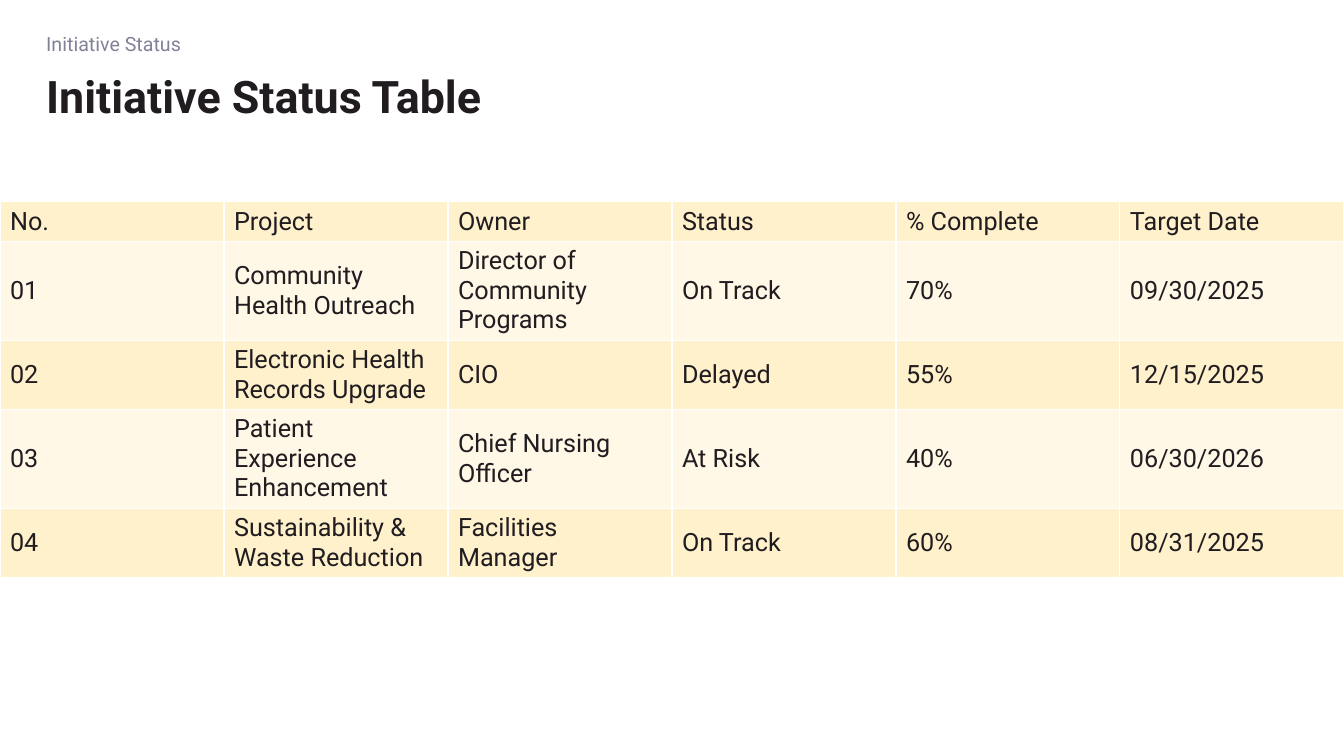
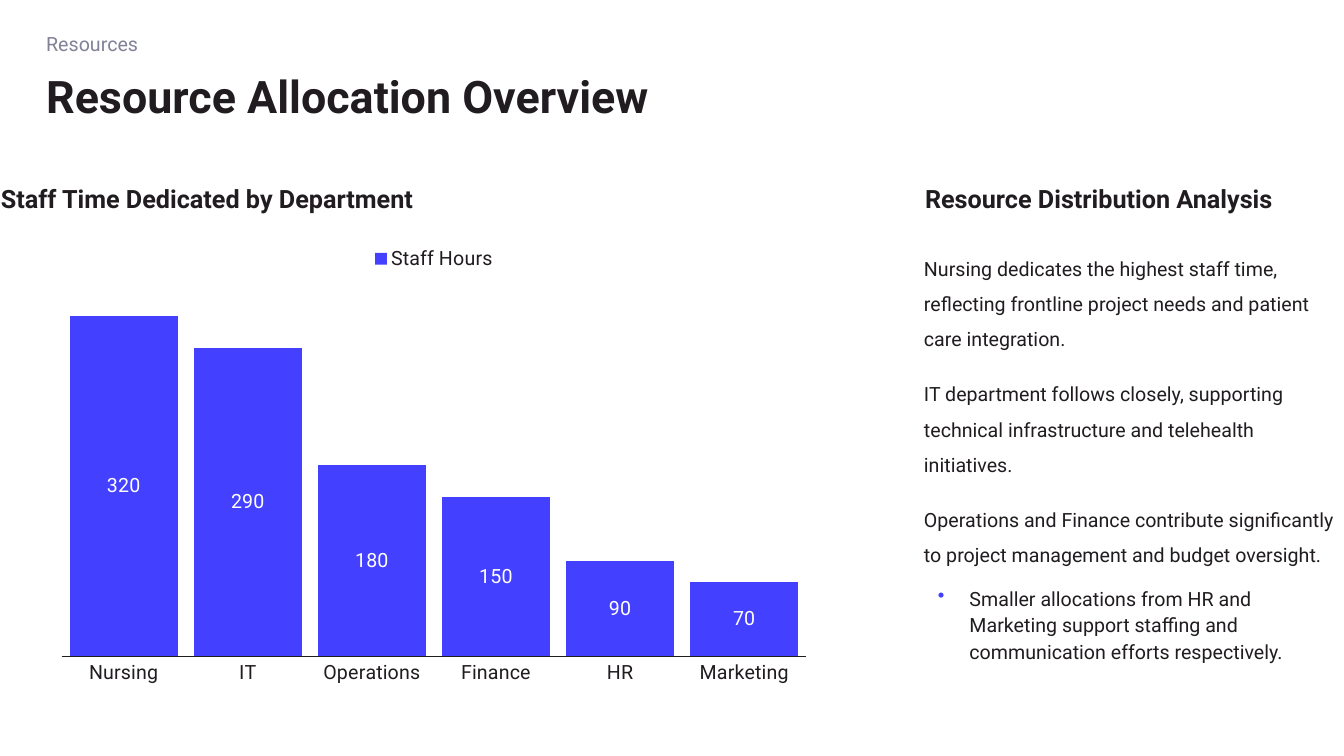
from lxml import etree
from pptx import Presentation
from pptx import util as u
from pptx.chart import data as chart_data
from pptx.dml.color import RGBColor
from pptx.enum import chart as ch, text
from pptx.oxml import ns

Pt = u.Pt
FONT = "Roboto"
INK = RGBColor(0x20, 0x1C, 0x20)
MUTED = RGBColor(0x81, 0x81, 0x98)
ACCENT = RGBColor(0x43, 0x40, 0xFF)
WHITE = RGBColor(0xFF, 0xFF, 0xFF)
BAND_FILLS = (RGBColor(0xFF, 0xF1, 0xCC), RGBColor(0xFF, 0xF8, 0xE7))

SLIDE_WIDTH, SLIDE_HEIGHT = 960, 540
MARGIN = 33
ANALYSIS_LEFT, ANALYSIS_WIDTH = 660, 300
CHART_WIDTH = 554

STATUS_ROWS = [
    ("No.", "Project", "Owner", "Status", "% Complete", "Target Date"),
    ("01", "Community Health Outreach", "Director of Community Programs",
     "On Track", "70%", "09/30/2025"),
    ("02", "Electronic Health Records Upgrade", "CIO",
     "Delayed", "55%", "12/15/2025"),
    ("03", "Patient Experience Enhancement", "Chief Nursing Officer",
     "At Risk", "40%", "06/30/2026"),
    ("04", "Sustainability & Waste Reduction", "Facilities Manager",
     "On Track", "60%", "08/31/2025"),
]
STAFF_HOURS = {"Nursing": 320, "IT": 290, "Operations": 180,
               "Finance": 150, "HR": 90, "Marketing": 70}
FINDINGS = [
    "Nursing dedicates the highest staff time, reflecting frontline project "
    "needs and patient care integration.",
    "IT department follows closely, supporting technical infrastructure and "
    "telehealth initiatives.",
    "Operations and Finance contribute significantly to project management "
    "and budget oversight.",
]
CLOSING_FINDING = ("Smaller allocations from HR and Marketing support staffing "
                   "and communication efforts respectively.")


def set_font(font, size, color=INK, bold=False):
    font.name, font.size, font.bold = FONT, Pt(size), bold
    font.color.rgb = color


def set_frame(frame):
    frame.word_wrap = True
    frame.auto_size = text.MSO_AUTO_SIZE.NONE
    frame.vertical_anchor = text.MSO_ANCHOR.TOP
    frame.margin_left = 0
    frame.margin_right = Pt(7.2)
    frame.margin_top = frame.margin_bottom = Pt(3.6)


def add_text_frame(slide, left, top, width, height):
    box = slide.shapes.add_textbox(Pt(left), Pt(top), Pt(width), Pt(height))
    set_frame(box.text_frame)
    return box.text_frame


def write_paragraph(paragraph, wording, size, color=INK, bold=False,
                    line_spacing=1.0, space_before=0):
    paragraph.text = wording
    paragraph.alignment = text.PP_ALIGN.LEFT
    paragraph.line_spacing = line_spacing
    paragraph.space_before = Pt(space_before)
    set_font(paragraph.font, size, color, bold)


def add_bullet(paragraph, indent, hanging):
    properties = paragraph._p.get_or_add_pPr()
    properties.set("marL", str(Pt(indent)))
    properties.set("indent", str(-Pt(hanging)))
    bullet_color = etree.Element(ns.qn("a:buClr"))
    etree.SubElement(bullet_color, ns.qn("a:srgbClr"), val=str(ACCENT))
    bullet = etree.Element(ns.qn("a:buChar"), char="•")
    default_font = properties.find(ns.qn("a:defRPr"))
    default_font.addprevious(bullet_color)
    default_font.addprevious(bullet)


def add_titled_slide(presentation, section, title):
    slide = presentation.slides.add_slide(
        presentation.slide_layouts.get_by_name("Title Only"))
    heading = slide.shapes.title
    heading.left, heading.top = Pt(MARGIN), Pt(50)
    heading.width, heading.height = Pt(894), Pt(50)
    set_frame(heading.text_frame)
    write_paragraph(heading.text_frame.paragraphs[0], title, 32, bold=True,
                    line_spacing=0.9)
    frame = add_text_frame(slide, MARGIN, 19.5, 282, 32)
    write_paragraph(frame.paragraphs[0], section, 14, MUTED)
    return slide


def add_subheading(slide, wording, left, width):
    frame = add_text_frame(slide, left, 116.5, width, 50)
    write_paragraph(frame.paragraphs[0], wording, 18, bold=True,
                    line_spacing=1.5)
    frame.paragraphs[0]._p.get_or_add_pPr().set("marL", str(Pt(0.75)))


def set_borders(cell, color, width):
    properties = cell._tc.get_or_add_tcPr()
    for position, side in enumerate(("a:lnL", "a:lnR", "a:lnT", "a:lnB")):
        line = etree.Element(ns.qn(side), w=str(Pt(width)))
        fill = etree.SubElement(line, ns.qn("a:solidFill"))
        etree.SubElement(fill, ns.qn("a:srgbClr"), val=str(color))
        properties.insert(position, line)


def add_banded_table(slide, rows, top, row_height):
    """Full-width table whose rows grow with their text."""
    table = slide.shapes.add_table(
        len(rows), len(rows[0]), 0, Pt(top), Pt(SLIDE_WIDTH),
        Pt(row_height * len(rows))).table
    table.first_row = table.horz_banding = False
    for row_index, row in enumerate(rows):
        for column_index, wording in enumerate(row):
            cell = table.cell(row_index, column_index)
            cell.vertical_anchor = text.MSO_ANCHOR.MIDDLE
            cell.fill.solid()
            cell.fill.fore_color.rgb = BAND_FILLS[row_index % 2]
            set_borders(cell, WHITE, 1)
            write_paragraph(cell.text_frame.paragraphs[0], wording, 18)


def add_hours_chart(slide):
    hours = chart_data.CategoryChartData()
    hours.categories = list(STAFF_HOURS)
    hours.add_series("Staff Hours", list(STAFF_HOURS.values()))
    chart = slide.shapes.add_chart(
        ch.XL_CHART_TYPE.COLUMN_STACKED, Pt(MARGIN), Pt(168),
        Pt(CHART_WIDTH), Pt(327.5), hours).chart
    set_font(chart.font, 14)
    chart.has_title = False
    chart.has_legend = True
    chart.legend.position = ch.XL_LEGEND_POSITION.TOP
    chart.legend.include_in_layout = False
    set_font(chart.legend.font, 14)

    category_axis, value_axis = chart.category_axis, chart.value_axis
    for axis in (category_axis, value_axis):
        axis.major_tick_mark = axis.minor_tick_mark = ch.XL_TICK_MARK.NONE
        axis.has_major_gridlines = False
    category_axis.format.line.color.rgb = INK
    category_axis.format.line.width = Pt(0.75)
    value_axis.format.line.fill.background()
    value_axis.tick_label_position = ch.XL_TICK_LABEL_POSITION.NONE
    value_axis.minimum_scale, value_axis.maximum_scale = 0, 350

    plot = chart.plots[0]
    plot.gap_width, plot.overlap = 15, 100
    plot.vary_by_categories = False
    series = plot.series[0]
    series.format.fill.solid()
    series.format.fill.fore_color.rgb = ACCENT
    labels = series.data_labels
    labels.show_value = True
    labels.position = ch.XL_LABEL_POSITION.CENTER
    set_font(labels.font, 14, WHITE)


def add_findings(slide):
    frame = add_text_frame(slide, ANALYSIS_LEFT, 171.5, ANALYSIS_WIDTH, 324)
    for index, finding in enumerate(FINDINGS):
        paragraph = frame.add_paragraph() if index else frame.paragraphs[0]
        write_paragraph(paragraph, finding, 14, line_spacing=1.5,
                        space_before=14 if index else 0)
    closing = frame.add_paragraph()
    write_paragraph(closing, CLOSING_FINDING, 14, line_spacing=1.14,
                    space_before=12)
    add_bullet(closing, 32.5, 22.5)


def main():
    presentation = Presentation()
    presentation.slide_width = Pt(SLIDE_WIDTH)
    presentation.slide_height = Pt(SLIDE_HEIGHT)

    status = add_titled_slide(presentation, "Initiative Status",
                              "Initiative Status Table")
    add_banded_table(status, STATUS_ROWS, top=144, row_height=28)

    resources = add_titled_slide(presentation, "Resources",
                                 "Resource Allocation Overview")
    add_subheading(resources, "Staff Time Dedicated by Department",
                   0, CHART_WIDTH)
    add_subheading(resources, "Resource Distribution Analysis",
                   ANALYSIS_LEFT, ANALYSIS_WIDTH)
    add_hours_chart(resources)
    add_findings(resources)

    presentation.save("out.pptx")


if __name__ == "__main__":
    main()
